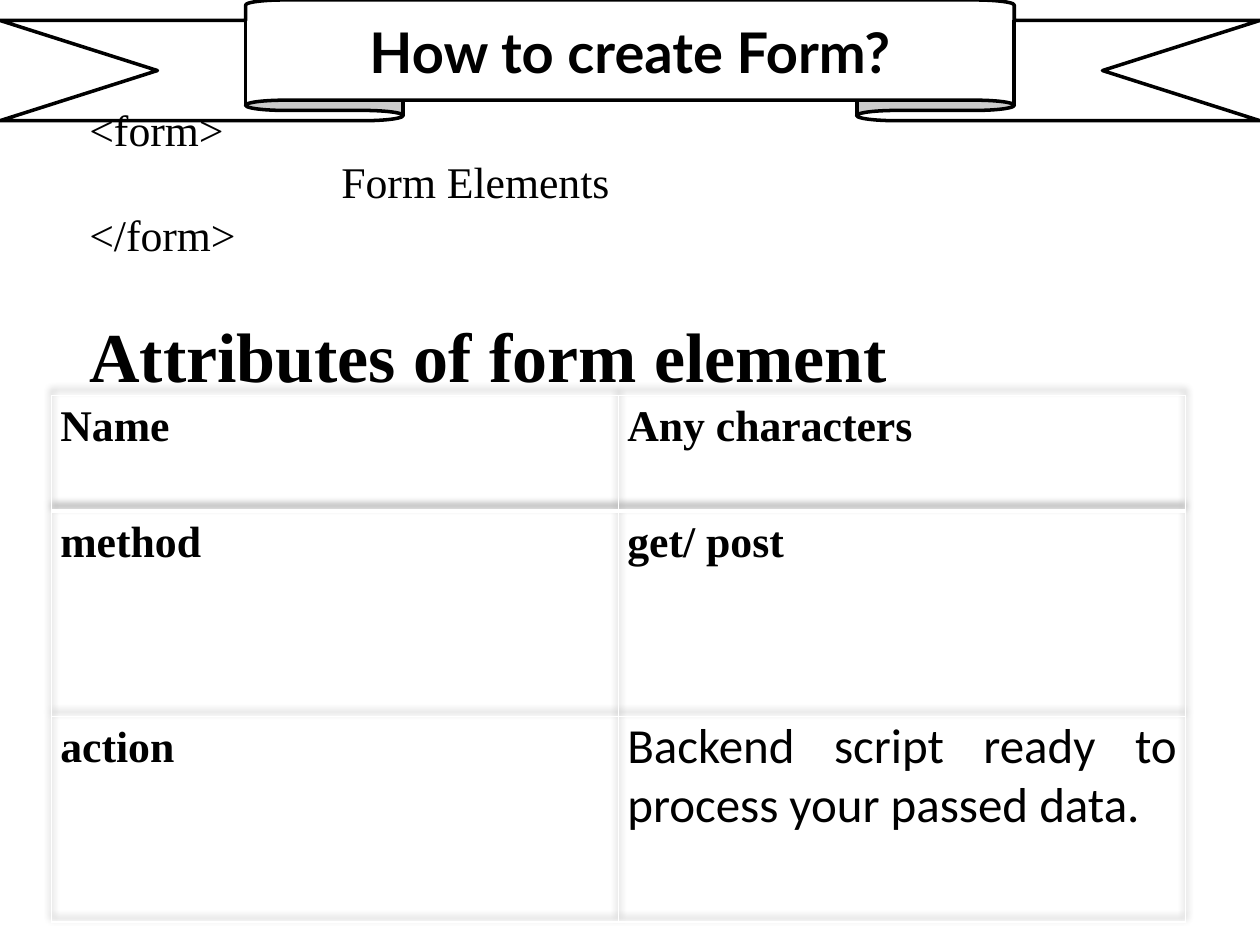
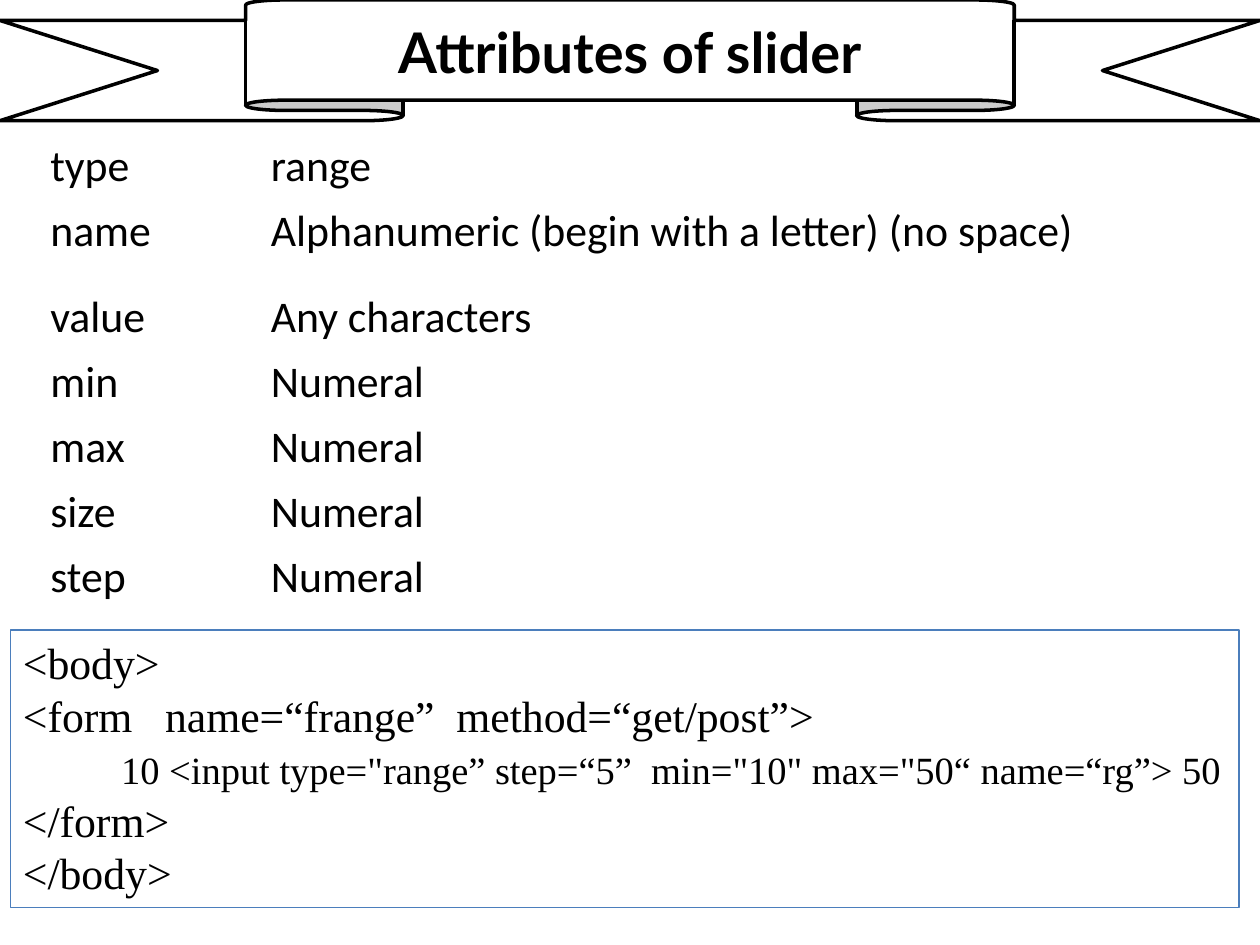
from dataclasses import dataclass

from lxml import etree
from pptx import Presentation
from pptx import util as u
from pptx.dml.color import RGBColor
from pptx.enum import shapes, text
from pptx.oxml import ns

Pt = u.Pt
COLOURS = {"ink": "000000", "paper": "FFFFFF", "code_line": "4B7EBC"}
SERIF = "Times New Roman"
PLAIN_TABLE = "{2D5ABB26-0587-4C30-8999-92F81FD0307C}"


@dataclass(frozen=True)
class Style:
    font: str
    size: float
    bold: bool = False
    spacing: float = 1.0
    align: text.PP_ALIGN = text.PP_ALIGN.JUSTIFY


@dataclass(frozen=True)
class Line:
    words: str
    style: Style
    indent: float = 0
    before: float = 0


@dataclass(frozen=True)
class Grid:
    left: float
    top: float
    columns: tuple
    heights: tuple
    rows: tuple
    framed: bool = False


TITLE = Style("Lato", 32, True, align=text.PP_ALIGN.CENTER)
SYNTAX = Style(SERIF, 25)
HEADING = Style(SERIF, 40, True)
CODE = Style(SERIF, 25, align=text.PP_ALIGN.LEFT)
LONG_CODE = Style(SERIF, 22, align=text.PP_ALIGN.LEFT)
STRONG_CELL = Style(SERIF, 25, True, 1.15)
NOTE_CELL = Style("Calibri", 28)
PLAIN_CELL = Style("Calibri", 25, spacing=1.15)

FORM_SYNTAX = (
    Line("<form>", SYNTAX),
    Line("Form Elements", SYNTAX, indent=144),
    Line("</form>", SYNTAX),
    Line("Attributes of form element", HEADING, before=30),
)
FORM_ATTRIBUTES = Grid(
    29.5, 226, (324, 324), (66, 117.4, 117.4),
    (
        (Line("Name", STRONG_CELL), Line("Any characters", STRONG_CELL)),
        (Line("method", STRONG_CELL), Line("get/ post", STRONG_CELL)),
        (Line("action", STRONG_CELL),
         Line("Backend script ready to process your passed data.", NOTE_CELL)),
    ),
    framed=True,
)
SLIDER_VALUES = {
    "type": "range",
    "name": "Alphanumeric (begin with a letter) (no space)",
    "value": "Any characters",
    **dict.fromkeys(("min", "max", "size", "step"), "Numeral"),
}
SLIDER_ATTRIBUTES = Grid(
    23.8, 75.6, (126, 534), (37.2, 49) + (37.2,) * 5,
    tuple((Line(name, PLAIN_CELL), Line(value, PLAIN_CELL))
          for name, value in SLIDER_VALUES.items()),
)
SLIDER_CODE = (
    Line("<body>", CODE),
    Line("<form   name=“frange”  method=“get/post”>", CODE),
    Line('         10 <input type="range” step=“5”  min="10" max="50“ name=“rg”> 50',
         LONG_CODE),
    Line("</form>", CODE),
    Line("</body>", CODE),
)


def colour(name: str) -> RGBColor:
    return RGBColor.from_string(COLOURS[name])


def format_span(span, style: Style) -> None:
    span.font.name = style.font
    span.font.size = Pt(style.size)
    span.font.bold = style.bold
    span.font.color.rgb = colour("ink")


def write(frame, lines: tuple) -> None:
    frame.word_wrap = True
    frame.text = "\n".join(line.words for line in lines)
    for para, line in zip(frame.paragraphs, lines):
        para.alignment = line.style.align
        para.line_spacing = line.style.spacing
        if line.before:
            para.space_before = Pt(line.before)
        if line.indent:
            para._p.get_or_add_pPr().set("marL", str(Pt(line.indent)))
        for span in para.runs:
            format_span(span, line.style)


def indent_long_code(para) -> None:
    span = para.runs[0]
    code = span.text.lstrip()
    span.text = span.text[:-len(code)]
    format_span(span, CODE)
    rest = para.add_run()
    rest.text = code
    format_span(rest, LONG_CODE)


def add_titled_page(deck, title: str):
    page = deck.slides.add_slide(deck.slide_layouts[5])
    ribbon = page.shapes.add_shape(
        shapes.MSO_SHAPE.UP_RIBBON, 0, 0, deck.slide_width, Pt(69))
    ribbon.adjustments[0] = 0.17
    ribbon.adjustments[1] = 0.61
    ribbon.shadow.inherit = False
    ribbon.fill.solid()
    ribbon.fill.fore_color.rgb = colour("paper")
    ribbon.line.color.rgb = colour("ink")
    ribbon.line.width = Pt(2)
    heading = page.shapes.title
    heading._element.addprevious(ribbon._element)
    heading.left, heading.top = Pt(139), Pt(0)
    heading.width, heading.height = Pt(442), Pt(58)
    heading.text_frame.vertical_anchor = text.MSO_ANCHOR.MIDDLE
    write(heading.text_frame, (Line(title, TITLE),))
    return page


def add_child(parent, tag: str, **attributes: str):
    return etree.SubElement(parent, ns.qn(tag), attributes)


def frame_cell(cell, header: bool) -> None:
    properties = cell._tc.get_or_add_tcPr()
    for side in ("a:lnL", "a:lnR", "a:lnT", "a:lnB"):
        width = 3 if header and side == "a:lnB" else 1
        border = add_child(properties, side, w=str(Pt(width)))
        fill = add_child(border, "a:solidFill")
        add_child(fill, "a:srgbClr", val=COLOURS["paper"])


def add_table_shadow(properties) -> None:
    effects = etree.Element(ns.qn("a:effectLst"))
    shadow = add_child(effects, "a:outerShdw", blurRad=str(Pt(4)), dist=str(Pt(3)),
                       dir="16200000", rotWithShape="0")
    ink = add_child(shadow, "a:srgbClr", val=COLOURS["ink"])
    add_child(ink, "a:alpha", val="40000")
    properties.insert(0, effects)


def add_grid(page, grid: Grid) -> None:
    table = page.shapes.add_table(
        len(grid.rows), len(grid.columns), Pt(grid.left), Pt(grid.top),
        Pt(sum(grid.columns)), Pt(sum(grid.heights))).table
    table.first_row = table.horz_banding = False
    properties = table._tbl.tblPr
    properties.find(ns.qn("a:tableStyleId")).text = PLAIN_TABLE
    if grid.framed:
        add_table_shadow(properties)
    for column, width in zip(table.columns, grid.columns):
        column.width = Pt(width)
    for index, (row, height, lines) in enumerate(
            zip(table.rows, grid.heights, grid.rows)):
        row.height = Pt(height)
        for cell, line in zip(row.cells, lines):
            cell.margin_left = cell.margin_right = Pt(5)
            cell.margin_top = cell.margin_bottom = 0
            write(cell.text_frame, (line,))
            if grid.framed:
                frame_cell(cell, header=index == 0)
            cell.fill.background()


def build_form_page(deck) -> None:
    page = add_titled_page(deck, "How to create Form?")
    add_grid(page, FORM_ATTRIBUTES)
    box = page.shapes.add_textbox(Pt(44), Pt(54), Pt(550), Pt(177))
    box.text_frame.vertical_anchor = text.MSO_ANCHOR.MIDDLE
    write(box.text_frame, FORM_SYNTAX)


def build_slider_page(deck) -> None:
    page = add_titled_page(deck, "Attributes of slider")
    add_grid(page, SLIDER_ATTRIBUTES)
    box = page.shapes.add_shape(
        shapes.MSO_SHAPE.RECTANGLE, Pt(6), Pt(360), Pt(702), Pt(158.5))
    box.shadow.inherit = False
    box.fill.background()
    box.line.color.rgb = colour("code_line")
    box.line.width = Pt(0.75)
    box.text_frame.vertical_anchor = text.MSO_ANCHOR.TOP
    write(box.text_frame, SLIDER_CODE)
    indent_long_code(box.text_frame.paragraphs[2])


def main() -> None:
    deck = Presentation()
    deck.slide_width, deck.slide_height = Pt(720), Pt(540)
    build_form_page(deck)
    build_slider_page(deck)
    deck.save("out.pptx")


if __name__ == "__main__":
    main()
